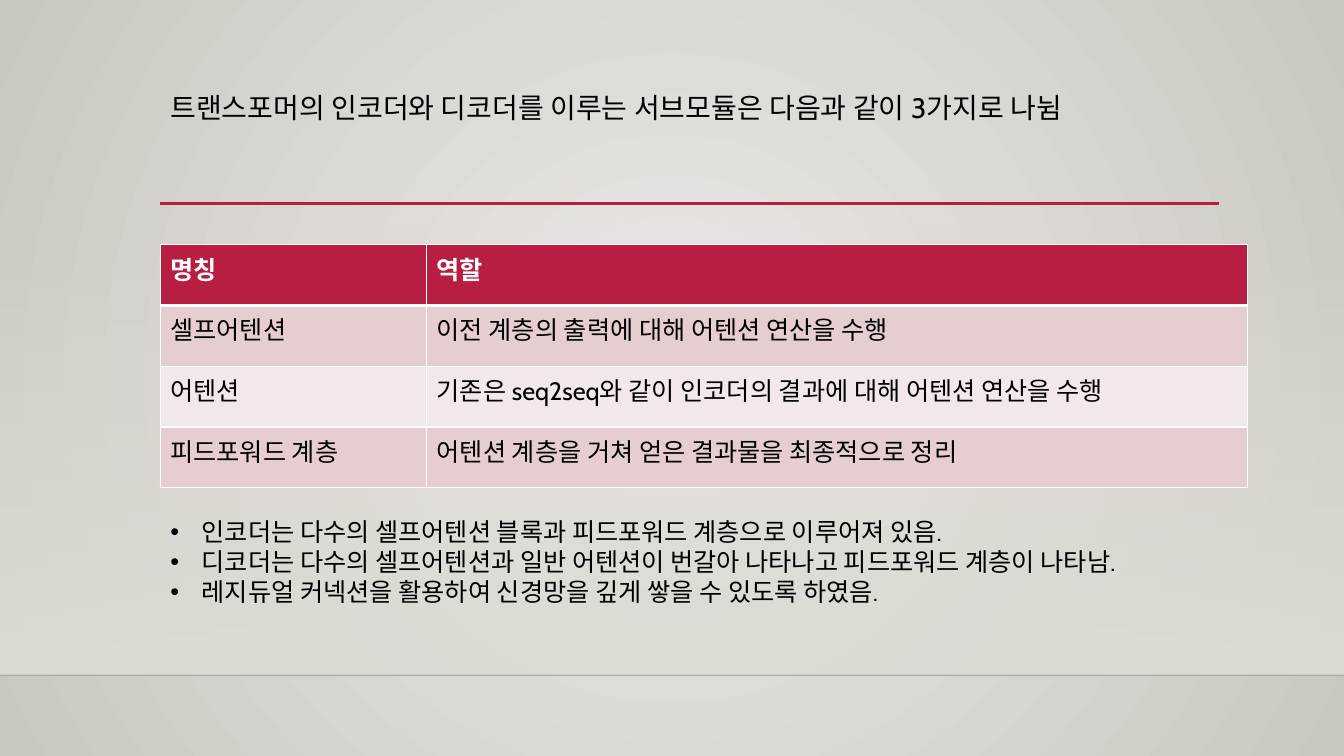
from dataclasses import dataclass

from lxml.etree import SubElement as Sub
from pptx import Presentation as Deck
from pptx.dml.color import RGBColor as Rgb
from pptx.enum.shapes import MSO_CONNECTOR as Link, MSO_SHAPE as Form
from pptx.enum.text import MSO_ANCHOR as Anchor, MSO_AUTO_SIZE as Fit, PP_ALIGN as Align
from pptx.oxml import parse_xml
from pptx.oxml.ns import nsdecls, qn
from pptx.util import Cm, Pt

HUES = {
    "red": "B71E42", "black": "000000", "white": "FFFFFF", "edge": "000001",
    "rose": "E6CDCF", "pale": "F3E8E9",
    "glow": "ECEAE7", "rim": "CAC7C1", "floor": "DFDBD5",
}
FONT = "Cabin"
WIDE, HIGH = 33.87, 19.05
LEFT = 4.04
FLOOR = 17.02
INDENT = 0.79
COLS = (6.71, 20.68)
ROW = 1.53

TITLE = "트랜스포머의 인코더와 디코더를 이루는 서브모듈은 다음과 같이 3가지로 나뉨"
CELLS = (
    ("명칭", "역할"),
    ("셀프어텐션", "이전 계층의 출력에 대해 어텐션 연산을 수행"),
    ("어텐션", "기존은 seq2seq와 같이 인코더의 결과에 대해 어텐션 연산을 수행"),
    ("피드포워드 계층", "어텐션 계층을 거쳐 얻은 결과물을 최종적으로 정리"),
)
POINTS = (
    "인코더는 다수의 셀프어텐션 블록과 피드포워드 계층으로 이루어져 있음.",
    "디코더는 다수의 셀프어텐션과 일반 어텐션이 번갈아 나타나고 피드포워드 계층이 나타남.",
    "레지듀얼 커넥션을 활용하여 신경망을 깊게 쌓을 수 있도록 하였음.",
)


@dataclass(frozen=True)
class Rule:
    """A level line; alpha is its opacity in percent."""
    left: float
    right: float
    top: float
    hue: str
    width: float
    alpha: int = 100


RULES = (
    Rule(0, WIDE, FLOOR, "edge", 1, 20),
    Rule(LEFT, 30.73, 5.13, "red", 2.5),
)


def tint(hue: str) -> Rgb:
    return Rgb.from_string(HUES[hue])


def place(shape, left: float, top: float, width: float, height: float) -> None:
    shape.left, shape.top = Cm(left), Cm(top)
    shape.width, shape.height = Cm(width), Cm(height)


def write(frame, lines, *, size=18, hue="black", bold=False, bullet=False, space=1.0) -> None:
    frame.word_wrap = True
    for num, line in enumerate(lines):
        para = frame.add_paragraph() if num else frame.paragraphs[0]
        if bullet:
            props = para._p.get_or_add_pPr()
            props.set("marL", str(Cm(INDENT)))
            props.set("indent", str(-Cm(INDENT)))
            Sub(props, qn("a:buFont"), typeface="Arial")
            Sub(props, qn("a:buChar"), char="•")
        para.alignment = Align.LEFT
        para.line_spacing = space
        para.space_before = Pt(0)
        run = para.add_run()
        run.text = line
        font = run.font
        font.name, font.size, font.bold = FONT, Pt(size), bold
        font.color.rgb = tint(hue)


def blend(fill, start: str, end: str, shade: str, alpha: int = 100) -> None:
    """Set a two-stop gradient; alpha is the opacity of its first stop."""
    fill.gradient()
    for stop, hue in zip(fill.gradient_stops, (start, end)):
        stop.color.rgb = tint(hue)
    fill.gradient_stops[0].position, fill.gradient_stops[1].position = 0, 1
    grad = fill._fill._gradFill
    first = grad.find(".//" + qn("a:srgbClr"))
    Sub(first, qn("a:alpha"), val=str(alpha * 1000))
    for old in grad.findall(qn("a:lin")):
        grad.remove(old)
    grad.append(parse_xml(shade))


def paint(slide) -> None:
    """Fill the backdrop and lay the fading wall above the floor."""
    rect = '<a:fillToRect l="50000" t="50000" r="50000" b="50000"/>'
    blend(slide.background.fill, "glow", "rim",
          f'<a:path {nsdecls("a")} path="circle">{rect}</a:path>')
    top = 5.61
    wall = slide.shapes.add_shape(Form.RECTANGLE, 0, Cm(top), Cm(WIDE), Cm(FLOOR - top))
    wall.shadow.inherit = False
    wall.line.fill.background()
    blend(wall.fill, "floor", "floor",
          f'<a:lin {nsdecls("a")} ang="5400000" scaled="0"/>', alpha=0)
    slide.shapes.title.element.addprevious(wall.element)


def draw(slide, rule: Rule) -> None:
    line = slide.shapes.add_connector(
        Link.STRAIGHT, Cm(rule.left), Cm(rule.top), Cm(rule.right), Cm(rule.top))
    line.line.color.rgb = tint(rule.hue)
    line.line.width = Pt(rule.width)
    props = line.element.spPr
    Sub(props.find(".//" + qn("a:srgbClr")), qn("a:alpha"), val=str(rule.alpha * 1000))
    Sub(props, qn("a:effectLst"))
    slide.shapes.title.element.addprevious(line.element)


def border(cell, **widths: float) -> None:
    props = cell._tc.get_or_add_tcPr()
    for num, (side, width) in enumerate(widths.items()):
        props.insert(num, parse_xml(
            f'<a:ln{side} {nsdecls("a")} w="{Pt(width)}"><a:solidFill>'
            f'<a:srgbClr val="{HUES["white"]}"/></a:solidFill></a:ln{side}>'))


def chart(slide) -> None:
    """Add the table of submodules and their roles."""
    grid = slide.shapes.add_table(
        len(CELLS), len(COLS), Cm(LEFT), Cm(6.17), Cm(sum(COLS)), Cm(ROW * len(CELLS))).table
    for col, width in zip(grid.columns, COLS):
        col.width = Cm(width)
    for row, texts in enumerate(CELLS):
        grid.rows[row].height = Cm(ROW)
        head = row == 0
        back = "red" if head else ("pale", "rose")[row % 2]
        for col, text in enumerate(texts):
            cell = grid.cell(row, col)
            cell.fill.solid()
            cell.fill.fore_color.rgb = tint(back)
            border(cell, L=1, R=1, T=3 if row == 1 else 1, B=3 if head else 1)
            write(cell.text_frame, [text], hue="white" if head else "black", bold=head)


def main() -> None:
    deck = Deck()
    deck.slide_width, deck.slide_height = Cm(WIDE), Cm(HIGH)
    slide = deck.slides.add_slide(deck.slide_layouts[1])
    paint(slide)
    for rule in RULES:
        draw(slide, rule)

    title, body = slide.shapes.title, slide.placeholders[1]
    place(title, LEFT, 2.24, 26.67, 2.92)
    place(body, LEFT, 12.88, 26.8, 2.57)
    for shape in (title, body):
        shape.text_frame.auto_size = Fit.NONE
        shape.text_frame.vertical_anchor = Anchor.TOP
    write(title.text_frame, [TITLE], size=20, space=0.9)
    write(body.text_frame, POINTS, bullet=True)
    chart(slide)
    deck.save("out.pptx")


if __name__ == "__main__":
    main()
